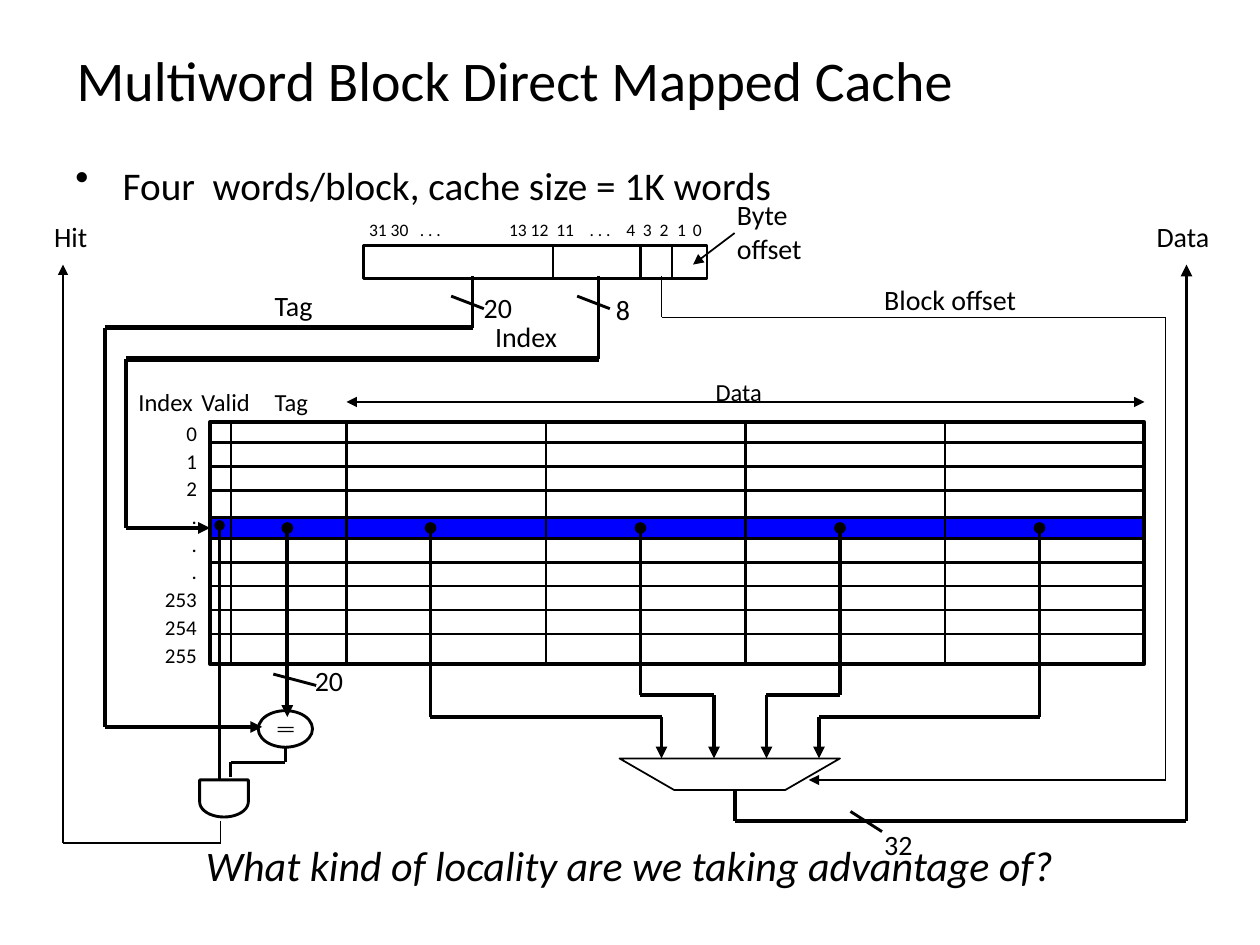
import math
import pptx
import pptx.dml.color
import pptx.enum.shapes
import pptx.enum.text
import pptx.oxml.ns
import pptx.util
from lxml import etree

Pt = pptx.util.Pt
qn = pptx.oxml.ns.qn
SHAPE = pptx.enum.shapes.MSO_SHAPE
ALIGN = pptx.enum.text.PP_ALIGN
ANCHOR = pptx.enum.text.MSO_ANCHOR

COLORS = {"ink": "000000", "selected": "0000FF"}
FONT = "Calibri"
THIN, MEDIUM, BOLD, HEAVY = 1, 1.63, 2.25, 3

TITLE = ("Multiword Block Direct Mapped Cache", 36.7, 0, 648, 90, 32)
BULLET = ("Four  words/block, cache size = 1K words", 36, 98, 635.8, 42, 22.4)
QUESTION = ("What kind of locality are we taking advantage of?", 41.8, 479.5, 635.8, 36, 24)
BYTE_OFFSET = ("Byte offset", 414, 109.4, 66.2, 46.1, 16)
LABELS = [
    ("8", 344.9, 163.4, 23.8, 26.6, 16),
    ("Index", 275.8, 179.3, 53.3, 26.6, 16),
    ("20", 269.3, 162.7, 32.4, 26.6, 16),
    ("Tag", 149.8, 161.3, 41.8, 26.6, 16),
    ("20", 172.8, 375.8, 32.4, 26.6, 16),
    ("Hit", 23.8, 121.7, 33.8, 26.6, 16),
    ("Data", 653.8, 121.7, 48.2, 26.6, 16),
    ("32", 498.2, 469.4, 32.4, 26.6, 16),
    ("Block offset", 498.2, 157.7, 126, 26.6, 16),
    ("Data", 401.8, 211.7, 43.9, 23.8, 14),
    ("Index", 72, 217.4, 49, 23.8, 14),
    ("Tag", 149.8, 217.4, 38.2, 23.8, 14),
    ("Valid", 108, 217.4, 45.4, 23.8, 14),
]
INDEX_VALUES = ["0", "1", "2", ".", ".", ".", "253", "254", "255"]
BIT_GROUPS = [("31 30", 0), (". . .", 29), ("13 12", 80), ("11", 107), (". . .", 126),
              ("4", 147), ("3", 156.5), ("2", 166), ("1", 176), ("0", 185)]

ADDRESS = (207.6, 140.4, 196.4, 18.7)
ADDRESS_SPLITS = [316, 366, 384]
CACHE_LEFT, CACHE_TOP, CACHE_WIDTH, CACHE_HEIGHT = 120, 241.2, 534, 138.2
CACHE_RIGHT, CACHE_BOTTOM = CACHE_LEFT + CACHE_WIDTH, CACHE_TOP + CACHE_HEIGHT
SELECTED_TOP, SELECTED_HEIGHT = 295.6, 12.2
SELECTED_Y = SELECTED_TOP + SELECTED_HEIGHT / 2
FIRST_RULE, RULE_STEP, RULE_SLOTS = 252.7, 13.7, [0, 1, 2, 5, 6, 7, 8]
WORDS_LEFT, WORD_WIDTH = 198, 114
COLUMNS = [132] + [WORDS_LEFT + WORD_WIDTH * i for i in range(4)]
MUX_TOP, MUX_BOTTOM = 433.4, 451.4
MUX = [(354, MUX_TOP), (385.2, MUX_BOTTOM), (448.8, MUX_BOTTOM), (480, MUX_TOP)]
MUX_INPUT_LEFT, MUX_INPUT_STEP = 378, 30
WORD_TAPS = [(246, 409.7), (366, 397.4), (480, 397.4), (594, 409.7)]
GATE_X, GATE_TOP, GATE_MIDDLE, GATE_RX, GATE_RY = 128, 445.7, 458.3, 13.9, 8.6

WIRES = [
    ([(270, 157.7), (270, 187.2)], BOLD, None, None),
    ([(60, 187.2), (270, 187.2)], HEAVY, None, None),
    ([(60, 187.2), (60, 415.4), (149.8, 415.4)], BOLD, None, "triangle"),
    ([(342, 157.7), (342, 205.2)], BOLD, None, None),
    ([(72, 205.2), (342, 205.2)], HEAVY, None, None),
    ([(72, 205.2), (72, SELECTED_Y)], BOLD, None, None),
    ([(WORDS_LEFT, 229.7), (CACHE_RIGHT, 229.7)], THIN, "triangle", "triangle"),
    ([(419.8, 133.2), (396, 151.2)], THIN, None, "triangle"),
    ([(164.2, SELECTED_Y), (164.2, 409.7)], BOLD, "oval", "triangle"),
    ([(125.5, 300.2), (125.5, GATE_TOP)], MEDIUM, "oval", None),
    ([(163, 427), (163, 435.6), (131.8, 435.6), (131.8, 444.2)], MEDIUM, None, None),
    ([(126, 469.4), (126, 481.7), (36, 481.7), (36, 151.2)], THIN, None, "triangle"),
    ([(378, 157.7), (378, 181.4), (666, 181.4), (666, 445.7), (462.2, 445.7)],
     THIN, None, "triangle"),
    ([(420, MUX_BOTTOM), (420, 469.4), (678, 469.4), (678, 151.2)], BOLD, None, "triangle"),
]
WIDTH_TICKS = [((329.8, 169.2), (348.5, 176.4)), ((257.8, 169.2), (276.5, 176.4)),
               ((156.2, 385.2), (180.7, 391.7)), ((486, 463.7), (504, 475.2))]

deck = pptx.Presentation()
deck.slide_width, deck.slide_height = Pt(720), Pt(540)
slide = deck.slides.add_slide(deck.slide_layouts[6])


def color(name):
    return pptx.dml.color.RGBColor.from_string(COLORS[name])


def add_text(content, left, top, width, height, size, wrap=False):
    frame = slide.shapes.add_textbox(Pt(left), Pt(top), Pt(width), Pt(height)).text_frame
    frame.word_wrap = wrap
    lines = content if isinstance(content, list) else [content]
    for i, line in enumerate(lines):
        paragraph = frame.add_paragraph() if i else frame.paragraphs[0]
        paragraph.text = line
        paragraph.font.size = Pt(size)
        paragraph.font.name = FONT
        paragraph.font.color.rgb = color("ink")
    return frame


def add_wire(start, end, width, head=None, tail=None):
    wire = slide.shapes.add_connector(pptx.enum.shapes.MSO_CONNECTOR.STRAIGHT,
                                      *(Pt(v) for v in (*start, *end)))
    wire.line.width = Pt(width)
    wire.line.color.rgb = color("ink")
    outline = wire.line._get_or_add_ln()
    for tag, kind in (("a:headEnd", head), ("a:tailEnd", tail)):
        if kind:
            etree.SubElement(outline, qn(tag)).set("type", kind)
    etree.SubElement(wire._element.spPr, qn("a:effectLst"))
    return wire


def add_route(points, width, head=None, tail=None):
    last = len(points) - 2
    for i, (start, end) in enumerate(zip(points, points[1:])):
        add_wire(start, end, width, None if i else head, tail if i == last else None)


def style(part, width, fill=None):
    part.shadow.inherit = False
    if fill:
        part.fill.solid()
        part.fill.fore_color.rgb = color(fill)
    else:
        part.fill.background()
    if width:
        part.line.width = Pt(width)
        part.line.color.rgb = color("ink")
    else:
        part.line.fill.background()
    return part


def add_preset(kind, box, width, fill=None):
    return style(slide.shapes.add_shape(kind, *(Pt(v) for v in box)), width, fill)


def add_outline(points, width):
    start, *rest = [(Pt(x), Pt(y)) for x, y in points]
    builder = slide.shapes.build_freeform(*start)
    builder.add_line_segments(rest, close=True)
    return style(builder.convert_to_shape(), width)


bullet = add_text(*BULLET, wrap=True).paragraphs[0]
bullet.line_spacing = 0.6
properties = bullet._p.get_or_add_pPr()
properties.set("marL", str(Pt(27)))
properties.set("indent", str(-Pt(27)))
mark = etree.Element(qn("a:buChar"), char="•")
properties.insert_element_before(mark, "a:tabLst", "a:defRPr", "a:extLst")
add_text(*TITLE, wrap=True).vertical_anchor = ANCHOR.MIDDLE

selected_row = add_preset(SHAPE.RECTANGLE, (CACHE_LEFT, SELECTED_TOP, CACHE_WIDTH, SELECTED_HEIGHT),
                          MEDIUM, "selected")
for slot in RULE_SLOTS:
    y = FIRST_RULE + RULE_STEP * slot
    add_wire((CACHE_LEFT, y), (CACHE_RIGHT, y), MEDIUM)
add_preset(SHAPE.RECTANGLE, (CACHE_LEFT, CACHE_TOP, CACHE_WIDTH, CACHE_HEIGHT), BOLD)
for x in COLUMNS:
    add_wire((x, CACHE_TOP), (x, CACHE_BOTTOM), MEDIUM)

add_preset(SHAPE.RECTANGLE, ADDRESS, MEDIUM)
for x in ADDRESS_SPLITS:
    add_wire((x, ADDRESS[1]), (x, ADDRESS[1] + ADDRESS[3]), MEDIUM)

for label in LABELS:
    add_text(*label)
add_text(*BYTE_OFFSET, wrap=True)
for index in add_text(INDEX_VALUES, 85, 235.4, 34.6, 150.5, 12).paragraphs:
    index.alignment = ALIGN.RIGHT
    index.line_spacing = 1.1
bits = add_text("\t".join(text for text, _ in BIT_GROUPS), 203.8, 121.7, 241.2, 19.4, 10, wrap=True)
bit_properties = bits.paragraphs[0]._p.get_or_add_pPr()
tabs = etree.Element(qn("a:tabLst"))
for _, stop in BIT_GROUPS[1:]:
    etree.SubElement(tabs, qn("a:tab"), pos=str(Pt(stop)), algn="l")
bit_properties.insert_element_before(tabs, "a:defRPr", "a:extLst")

add_preset(SHAPE.OVAL, (147.6, 406.1, 31, 20.9), MEDIUM)
for y in (415.4, 417.6):
    add_preset(SHAPE.RECTANGLE, (158.6, y, 9.2, 0.8), None, "ink")
arc = [(GATE_X + GATE_RX * math.cos(math.pi * i / 20),
        GATE_MIDDLE + GATE_RY * math.sin(math.pi * i / 20)) for i in range(21)]
add_outline([(GATE_X - GATE_RX, GATE_TOP), (GATE_X + GATE_RX, GATE_TOP)] + arc, MEDIUM)
add_outline(MUX, THIN)

for wire_route in WIRES:
    add_route(*wire_route)
for i, (x, turn) in enumerate(WORD_TAPS):
    mux_x = MUX_INPUT_LEFT + MUX_INPUT_STEP * i
    add_route([(x, SELECTED_Y), (x, turn), (mux_x, turn), (mux_x, MUX_TOP)], BOLD, "oval", "triangle")
for start, end in WIDTH_TICKS:
    add_wire(start, end, MEDIUM)
add_wire((72, SELECTED_Y), (CACHE_LEFT, SELECTED_Y), BOLD, tail="triangle").end_connect(selected_row, 1)

question = add_text(*QUESTION, wrap=True).paragraphs[0]
question.alignment = ALIGN.CENTER
question.line_spacing = 0.9
question.font.italic = True

deck.save("out.pptx")
